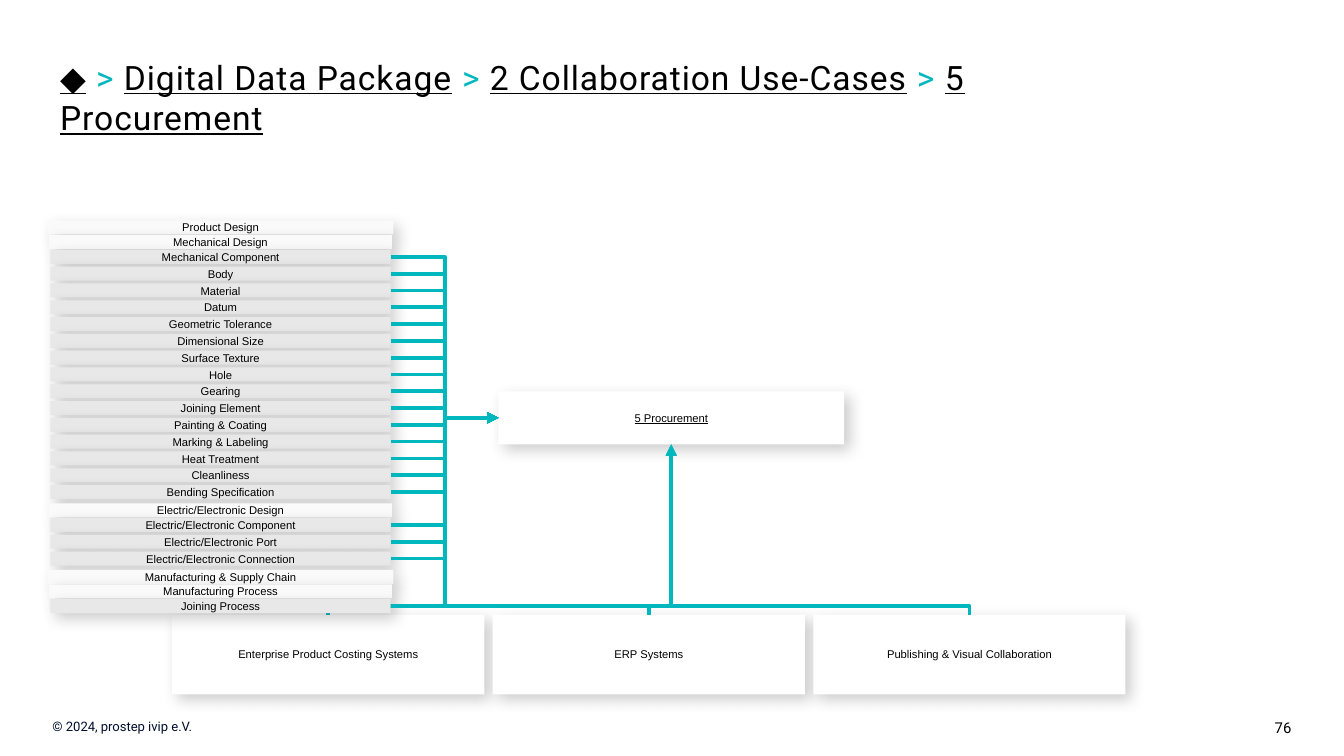
from typing import NamedTuple

from lxml.etree import SubElement as Sub
from pptx import Presentation
from pptx.dml.color import RGBColor
from pptx.enum.shapes import MSO_CONNECTOR as Conn, MSO_SHAPE as Shape
from pptx.enum.text import MSO_ANCHOR as Anchor, MSO_AUTO_SIZE as Fit, PP_ALIGN as Align
from pptx.oxml.ns import qn
from pptx.util import Emu, Pt

WIDE, HIGH = 1920, 1080
SCALE = 9144000 / WIDE
TEAL, BLACK, NAVY = "00B7BE", "000000", "000F2D"
WHITE, PALE, GREY = "FFFFFF", "FAFAFA", "E8E8E8"


class Level(NamedTuple):
    left: int
    width: int
    fill: str
    anchor: Anchor
    step: int
    linked: bool


class Row(NamedTuple):
    level: Level
    text: str


class Box(NamedTuple):
    left: int
    top: int
    width: int
    height: int


AREA = Level(68, 494, PALE, Anchor.TOP, 21, False)
GROUP = Level(70, 490, PALE, Anchor.TOP, 21, False)
ITEM = Level(72, 486, GREY, Anchor.MIDDLE, 24, True)

MECH = ["Mechanical Component", "Body", "Material", "Datum", "Geometric Tolerance",
        "Dimensional Size", "Surface Texture", "Hole", "Gearing", "Joining Element",
        "Painting & Coating", "Marking & Labeling", "Heat Treatment", "Cleanliness",
        "Bending Specification"]
ELEC = ["Electric/Electronic Component", "Electric/Electronic Port",
        "Electric/Electronic Connection"]
ROWS = [
    Row(AREA, "Product Design"),
    Row(GROUP, "Mechanical Design"),
    *[Row(ITEM, text) for text in MECH],
    Row(GROUP, "Electric/Electronic Design"),
    *[Row(ITEM, text) for text in ELEC],
    Row(AREA, "Manufacturing & Supply Chain"),
    Row(GROUP, "Manufacturing Process"),
    Row(ITEM, "Joining Process"),
]
SYSTEMS = ["Enterprise Product Costing Systems", "ERP Systems",
           "Publishing & Visual Collaboration"]
CRUMBS = ["◆", "Digital Data Package", "2 Collaboration Use-Cases", "5 Procurement"]
GOAL = Box(712, 559, 494, 76)


def px(count: float) -> Emu:
    return Emu(round(count * SCALE))


def paint(code: str) -> RGBColor:
    return RGBColor.from_string(code)


def write(para, text: str, size: int, face: str, color: str = BLACK, under: bool = False):
    run = para.add_run()
    run.text = text
    font = run.font
    font.size, font.name, font.underline = Pt(size), face, under
    font.color.rgb = paint(color)
    return run


def pad(frame, left: int, top: int, right: int, bottom: int) -> None:
    frame.word_wrap = True
    frame.margin_left, frame.margin_top = px(left), px(top)
    frame.margin_right, frame.margin_bottom = px(right), px(bottom)


def card(slide, box: Box, text: str, fill: str = WHITE, anchor: Anchor = Anchor.MIDDLE,
         inset: int = 0, under: bool = False):
    shape = slide.shapes.add_shape(Shape.RECTANGLE, *map(px, box))
    shape.fill.solid()
    shape.fill.fore_color.rgb = paint(fill)
    shape.line.fill.background()
    shape.shadow.inherit = False
    glow = Sub(shape.element.spPr.find(qn("a:effectLst")), qn("a:outerShdw"),
               blurRad=str(Pt(8)), dist=str(Pt(4)), dir="2700000", algn="tl", rotWithShape="0")
    tint = Sub(glow, qn("a:srgbClr"), val=BLACK)
    Sub(tint, qn("a:alpha"), val="20000")
    frame = shape.text_frame
    pad(frame, inset, inset, inset, inset)
    frame.vertical_anchor = anchor
    para = frame.paragraphs[0]
    para.alignment = Align.CENTER
    write(para, text, 6, "Arial", under=under)
    return shape


def elbow(slide, left: float, start: float, right: float, end: float, bend: int):
    line = slide.shapes.add_connector(Conn.ELBOW, px(left), px(start), px(right), px(end))
    line.line.color.rgb = paint(TEAL)
    line.line.width = Pt(2)
    props = line.element.spPr
    Sub(props.find(qn("a:ln")), qn("a:tailEnd"), type="triangle")
    Sub(props, qn("a:effectLst"))
    guides = props.find(qn("a:prstGeom")).find(qn("a:avLst"))
    Sub(guides, qn("a:gd"), name="adj1", fmla=f"val {bend}")
    return line


def rise(slide, box: Box) -> None:
    start, end = box.left + box.width / 2, GOAL.left + GOAL.width / 2
    base = GOAL.top + GOAL.height
    span, mid, level = box.top - base, (start + end) / 2, (box.top + base) / 2
    shift = (start - end) / 2
    line = elbow(slide, mid - span / 2, level + shift, mid + span / 2, level - shift, 5000)
    line.element.spPr.find(qn("a:xfrm")).set("rot", "16200000")


def note(slide, box: Box, text: str, size: int, color: str, align: Align) -> None:
    frame = slide.shapes.add_textbox(*map(px, box)).text_frame
    right = align == Align.RIGHT
    pad(frame, 19 if right else 75, 10, 75 if right else 19, 10)
    para = frame.paragraphs[0]
    para.alignment = align
    write(para, text, size, "Roboto", color)


def head(slide) -> None:
    title = slide.shapes.title
    title.left, title.top, title.width, title.height = map(px, Box(67, 71, 1438, 131))
    frame = title.text_frame
    pad(frame, 19, 10, 19, 10)
    frame.auto_size, frame.vertical_anchor = Fit.NONE, Anchor.TOP
    para = frame.paragraphs[0]
    para.alignment = Align.LEFT
    for index, crumb in enumerate(CRUMBS):
        if index:
            write(para, " > ", 18, "Roboto", TEAL)
        write(para, crumb, 18, "Roboto", under=True)
    for run in para.runs:
        run.font._element.set("spc", "50")


def main() -> None:
    deck = Presentation()
    deck.slide_width, deck.slide_height = px(WIDE), px(HIGH)
    slide = deck.slides.add_slide(deck.slide_layouts[5])
    note(slide, Box(1745, 1016, 175, 46), "76", 8, BLACK, Align.RIGHT)
    note(slide, Box(0, 1016, 461, 42), "© 2024, prostep ivip e.V.", 7, NAVY, Align.LEFT)
    head(slide)
    goal = card(slide, GOAL, "5 Procurement", inset=8, under=True)
    for index, text in enumerate(SYSTEMS):
        box = Box(246 + index * 458, 878, 446, 114)
        card(slide, box, text)
        rise(slide, box)
    top, last = 315, None
    for level, text in ROWS:
        if last == ITEM and level != ITEM:
            top += 2
        box = Box(level.left, top, level.width, 20)
        shape = card(slide, box, text, level.fill, level.anchor)
        if level.linked:
            line = elbow(slide, box.left + box.width, top + 10,
                         GOAL.left, GOAL.top + GOAL.height / 2, 50500)
            line.begin_connect(shape, 3)
            line.end_connect(goal, 1)
        top, last = top + level.step, level
    deck.save("out.pptx")


if __name__ == "__main__":
    main()
